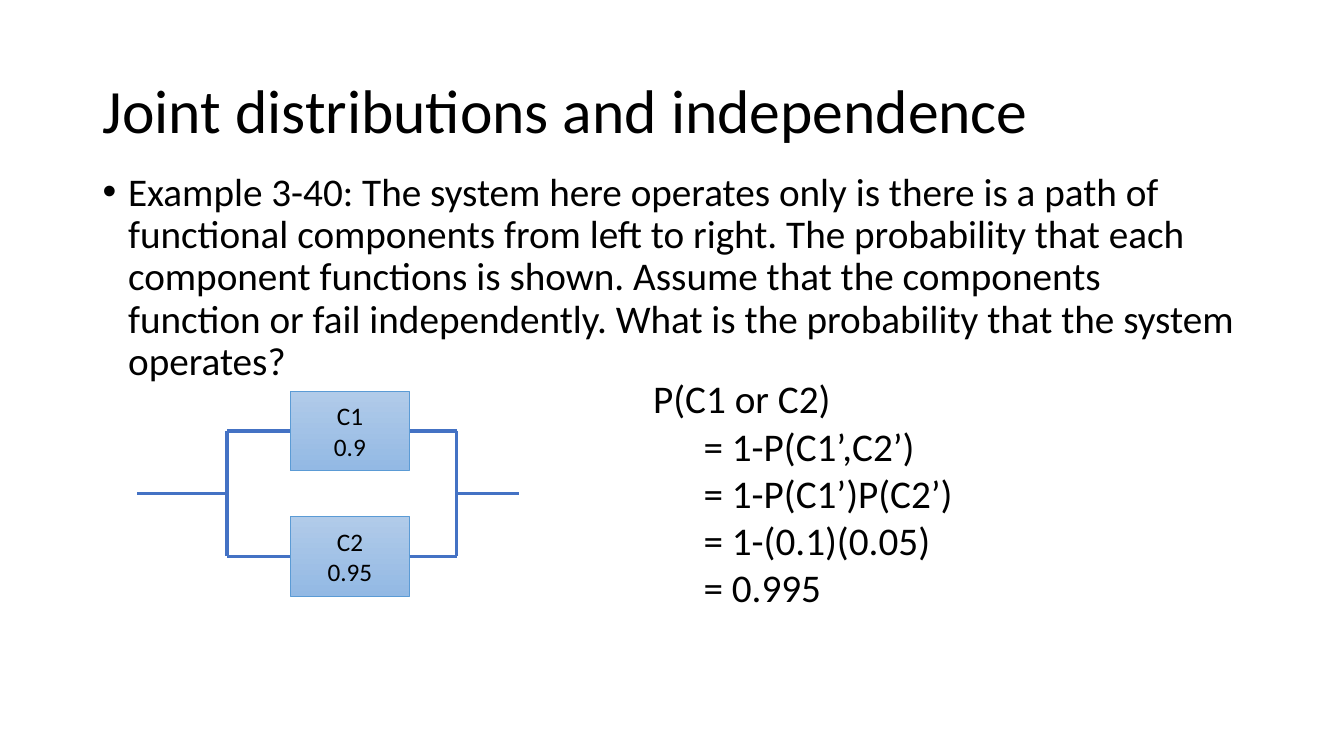
from dataclasses import dataclass

from lxml import etree
from pptx import Presentation
from pptx import util as u
from pptx.dml.color import RGBColor
from pptx.enum import shapes, text
from pptx.oxml.ns import qn


@dataclass(frozen=True)
class Theme:
    font: str = "Calibri"
    ink: str = "000000"
    wire: str = "4472C4"
    box_line: str = "5B9BD5"
    box_top: str = "B1CBE9"
    box_bottom: str = "93B9E4"
    title_size: int = 44
    body_size: int = 28
    label_size: int = 18


THEME = Theme()
TITLE = "Joint distributions and independence"
QUESTION = (
    "Example 3-40: The system here operates only is there is a path of "
    "functional components from left to right. The probability that each "
    "component functions is shown. Assume that the components function or "
    "fail independently. What is the probability that the system operates?"
)
SOLUTION = [
    "P(C1 or C2)",
    "\t= 1-P(C1’,C2’)",
    "\t= 1-P(C1’)P(C2’)",
    "\t= 1-(0.1)(0.05)",
    "\t= 0.995",
]
COMPONENTS = [("C1", "0.9"), ("C2", "0.95")]

BOX_LEFT, BOX_TOP, BOX_WIDTH, BOX_HEIGHT, BOX_STEP = 7.32, 9.86, 3.0, 2.0, 3.16
INPUT_X, SPLIT_X, JOIN_X, OUTPUT_X = 3.45, 5.72, 11.51, 13.08


def color(value):
    return RGBColor.from_string(value)


def write_lines(frame, lines, size, alignment=text.PP_ALIGN.LEFT):
    for index, line in enumerate(lines):
        paragraph = frame.add_paragraph() if index else frame.paragraphs[0]
        paragraph.text = line
        paragraph.alignment = alignment
        paragraph.font.name = THEME.font
        paragraph.font.size = u.Pt(size)
        paragraph.font.color.rgb = color(THEME.ink)


def add_text(slide, left, top, width, height, lines, size,
             anchor=text.MSO_ANCHOR.TOP):
    box = slide.shapes.add_textbox(u.Cm(left), u.Cm(top), u.Cm(width), u.Cm(height))
    frame = box.text_frame
    frame.word_wrap = True
    frame.vertical_anchor = anchor
    write_lines(frame, lines, size)
    return frame.paragraphs[0]


def add_bullet(paragraph, indent):
    properties = paragraph._p.get_or_add_pPr()
    properties.set("marL", str(u.Cm(indent)))
    properties.set("indent", str(-u.Cm(indent)))
    etree.SubElement(properties, qn("a:buFont")).set("typeface", "Arial")
    etree.SubElement(properties, qn("a:buChar")).set("char", "•")
    properties.append(properties.find(qn("a:defRPr")))


def add_component(group, top, lines):
    box = group.shapes.add_shape(
        shapes.MSO_SHAPE.RECTANGLE,
        u.Cm(BOX_LEFT), u.Cm(top), u.Cm(BOX_WIDTH), u.Cm(BOX_HEIGHT))
    box.shadow.inherit = False
    box.fill.gradient()
    box.fill.gradient_angle = 270
    stops = box.fill.gradient_stops
    for stop, position, value in zip(stops, (0, 1), (THEME.box_top, THEME.box_bottom)):
        stop.position = position
        stop.color.rgb = color(value)
    box.line.color.rgb = color(THEME.box_line)
    box.line.width = u.Pt(0.5)
    box.text_frame.vertical_anchor = text.MSO_ANCHOR.MIDDLE
    write_lines(box.text_frame, lines, THEME.label_size, text.PP_ALIGN.CENTER)


def add_wire(group, start_x, start_y, end_x, end_y):
    wire = group.shapes.add_connector(
        shapes.MSO_CONNECTOR.STRAIGHT,
        u.Cm(start_x), u.Cm(start_y), u.Cm(end_x), u.Cm(end_y))
    wire.line.color.rgb = color(THEME.wire)
    wire.line.width = u.Pt(2.25)
    etree.SubElement(wire._element.spPr, qn("a:effectLst"))


def add_circuit(slide):
    group = slide.shapes.add_group_shape()
    tops = [BOX_TOP + index * BOX_STEP for index in range(len(COMPONENTS))]
    rows = [top + BOX_HEIGHT / 2 for top in tops]
    middle = sum(rows) / len(rows)
    for top, lines in zip(tops, COMPONENTS):
        add_component(group, top, lines)
    for box_edge, node, terminal in (
        (BOX_LEFT, SPLIT_X, INPUT_X),
        (BOX_LEFT + BOX_WIDTH, JOIN_X, OUTPUT_X),
    ):
        for row in rows:
            add_wire(group, box_edge, row, node, row)
        add_wire(group, node, rows[0], node, rows[-1])
        add_wire(group, node, middle, terminal, middle)


def main():
    presentation = Presentation()
    presentation.slide_width = u.Cm(33.87)
    presentation.slide_height = u.Cm(19.05)
    slide = presentation.slides.add_slide(presentation.slide_layouts[6])

    title = add_text(slide, 2.34, 1.02, 29.21, 3.68, [TITLE],
                     THEME.title_size, text.MSO_ANCHOR.MIDDLE)
    title.line_spacing = 0.9
    question = add_text(slide, 2.34, 4.22, 29.21, 12.09, [QUESTION], THEME.body_size)
    question.line_spacing = 0.9
    question.space_before = u.Pt(10)
    add_bullet(question, 0.64)
    add_circuit(slide)
    add_text(slide, 16.21, 9.32, 12.22, 6.25, SOLUTION, THEME.body_size)

    presentation.save("out.pptx")


main()
